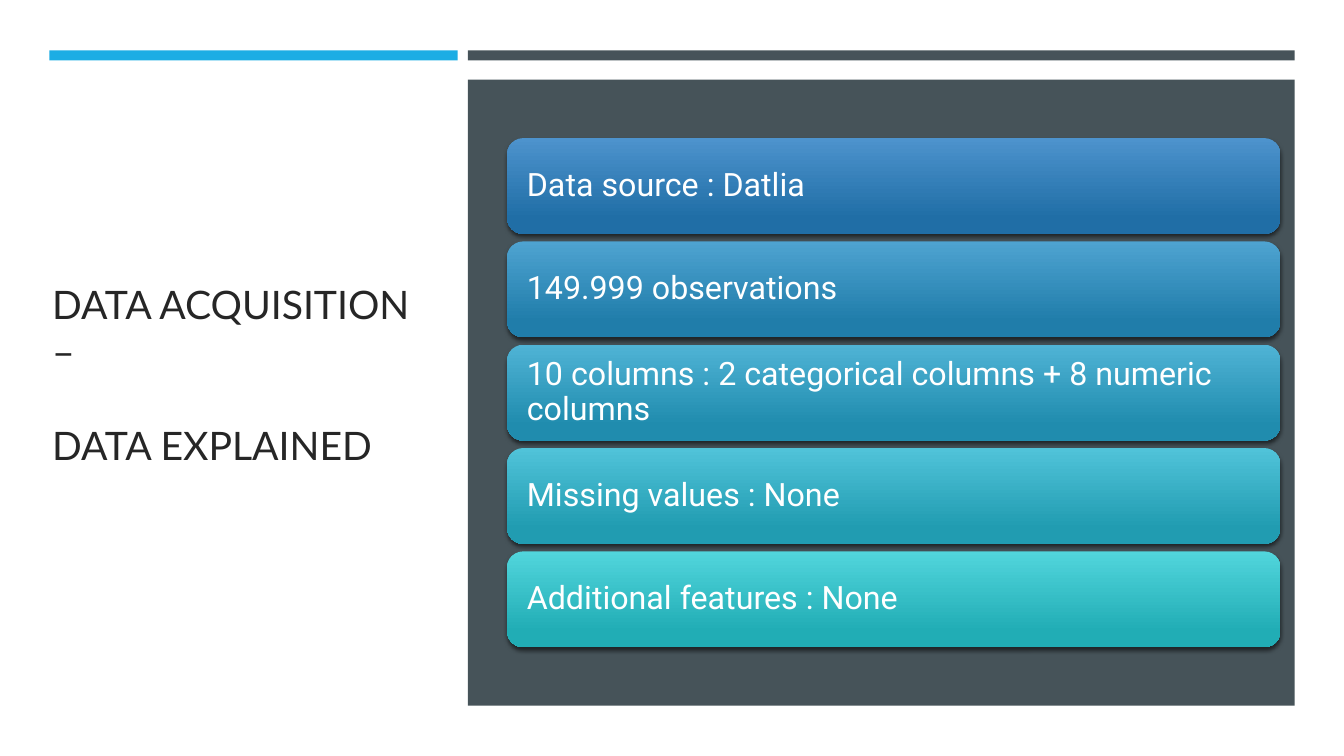
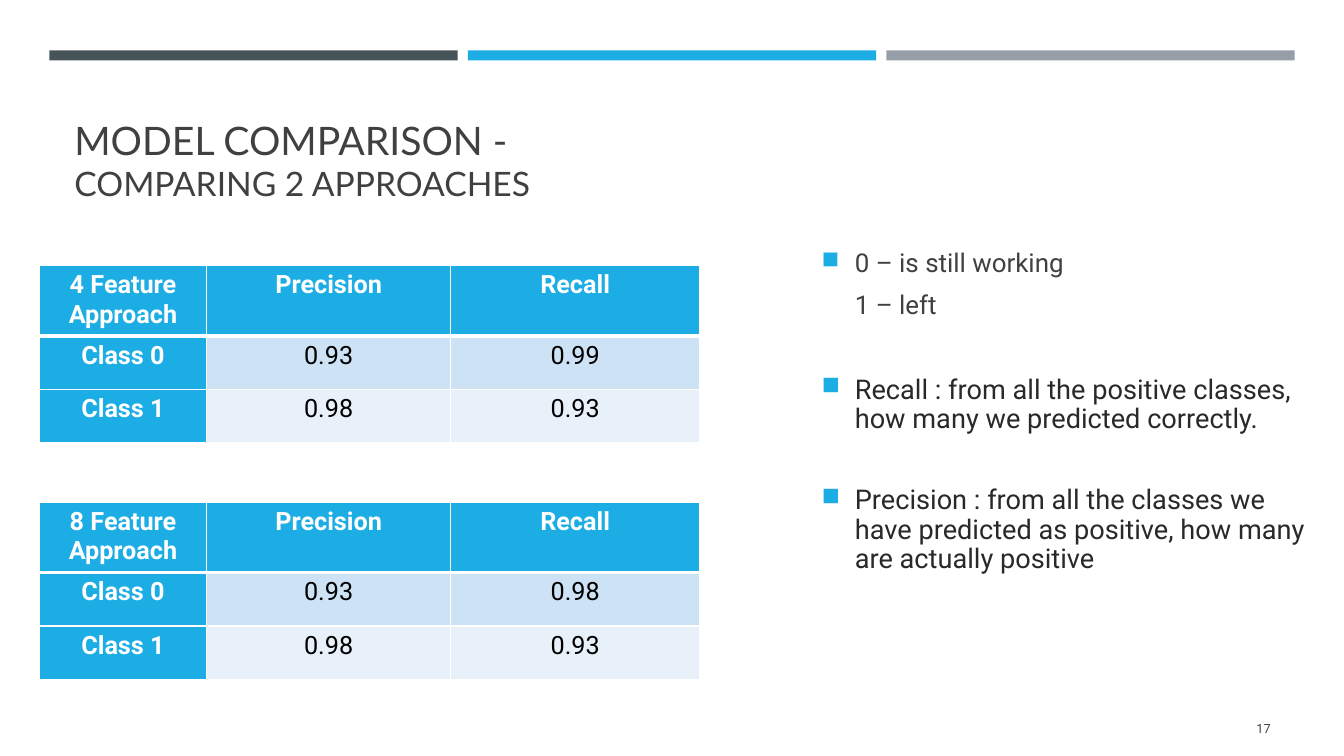
import dataclasses
import typing

import lxml.etree
import pptx
import pptx.dml.color
import pptx.enum.shapes
import pptx.enum.text
import pptx.oxml.ns
import pptx.slide
import pptx.util

Inches = pptx.util.Inches
Pt = pptx.util.Pt
qn = pptx.oxml.ns.qn
ALIGN = pptx.enum.text.PP_ALIGN
ANCHOR = pptx.enum.text.MSO_ANCHOR
SHAPES = pptx.enum.shapes.MSO_SHAPE

CYAN, SLATE, GREY, WHITE = "1CADE4", "465359", "969FA7", "FFFFFF"
INK, TITLE_INK, BODY_INK, BLACK = "404040", "262626", "292929", "000000"
TITLE_FONT, BODY_FONT = "Lato", "Roboto"

GRID_LEFT, GRID_COLUMN, GRID_GAP = 0.49, 4.05, 0.1
GRID_PITCH = GRID_COLUMN + GRID_GAP


@dataclasses.dataclass(frozen=True)
class Box:
    left: float
    top: float
    width: float
    height: float

    def emu(self) -> list[int]:
        return [Inches(v) for v in dataclasses.astuple(self)]


@dataclasses.dataclass(frozen=True)
class Line:
    """One paragraph with its look; spacing is in points."""
    text: str
    size: float
    color: str
    font: str = BODY_FONT
    bold: bool = False
    align: typing.Any = ALIGN.LEFT
    before: float = 0
    spacing: float = 1.0
    indent: float = 0
    bullet: bool = False


@dataclasses.dataclass(frozen=True)
class Band:
    color: str
    column: int
    span: int = 1


@dataclasses.dataclass(frozen=True)
class Card:
    text: str
    top_color: str
    bottom_color: str


@dataclasses.dataclass(frozen=True)
class Scores:
    approach: str
    top: float
    rows: tuple[tuple[str, str, str], ...]


CARDS = (
    Card("Data source : Datlia", "4D93CD", "206EA6"),
    Card("149.999 observations", "4EA3D1", "207DAA"),
    Card("10 columns : 2 categorical columns + 8 numeric columns", "4FB3D5", "208CAE"),
    Card("Missing values : None", "50C3D9", "219CB1"),
    Card("Additional features : None", "51D5DC", "21ADB5"),
)
SCORES = (
    Scores("4 Feature Approach", 2.63,
           (("Class 0", "0.93", "0.99"), ("Class 1", "0.98", "0.93"))),
    Scores("8 Feature Approach", 4.98,
           (("Class 0", "0.93", "0.98"), ("Class 1", "0.98", "0.93"))),
)
SCORE_COLUMNS = (1.66, 2.42, 2.47)
SCORE_ROWS = (0.69, 0.53, 0.53)
ROW_FILLS = (CYAN, "CDE3F5", "E8F1FA")

NOTE = {"spacing": 0.9, "indent": 0.33}
NOTES = (
    Line("0 – is still working", 18.5, INK, bullet=True, **NOTE),
    Line("1 – left", 18.5, INK, before=10, **NOTE),
    Line("Recall : from all the positive classes, how many we predicted correctly.",
         19.4, BODY_INK, before=40, bullet=True, **NOTE),
    Line("Precision : from all the classes we have predicted as positive, "
         "how many are actually positive",
         19.4, BODY_INK, before=37, bullet=True, **NOTE),
)


def rgb(color: str) -> pptx.dml.color.RGBColor:
    return pptx.dml.color.RGBColor.from_string(color)


def apply(target: typing.Any, values: dict[str, typing.Any]) -> None:
    for name, value in values.items():
        setattr(target, name, value)


def add_xml(parent: typing.Any, tag: str, **attributes: typing.Any) -> typing.Any:
    return lxml.etree.SubElement(
        parent, qn(tag), {key: str(value) for key, value in attributes.items()})


def write(frame: typing.Any, lines: typing.Sequence[Line], **frame_format: typing.Any) -> None:
    apply(frame, {"word_wrap": True, **frame_format})
    for index, line in enumerate(lines):
        paragraph = frame.paragraphs[0] if index == 0 else frame.add_paragraph()
        apply(paragraph, {"alignment": line.align, "line_spacing": line.spacing,
                          "space_before": Pt(line.before), "space_after": Pt(0)})
        run = paragraph.add_run()
        run.text = line.text
        apply(run.font, {"name": line.font, "size": Pt(line.size), "bold": line.bold})
        run.font.color.rgb = rgb(line.color)
        if line.indent:
            indent_paragraph(paragraph, line)


def indent_paragraph(paragraph: typing.Any, line: Line) -> None:
    properties = paragraph._p.get_or_add_pPr()
    properties.set("marL", str(Inches(line.indent)))
    properties.set("indent", str(-Inches(line.indent) if line.bullet else 0))
    if line.bullet:
        add_xml(add_xml(properties, "a:buClr"), "a:srgbClr", val=CYAN)
        add_xml(properties, "a:buSzPct", val=92000)
        add_xml(properties, "a:buChar", char="■")


def add_text(slide: pptx.slide.Slide, box: Box, lines: typing.Sequence[Line],
             **frame_format: typing.Any) -> None:
    write(slide.shapes.add_textbox(*box.emu()).text_frame, lines, **frame_format)


def add_title(slide: pptx.slide.Slide, box: Box, color: str, anchor: typing.Any,
              texts: tuple[str, str], second_size: float, gap: float = 0) -> None:
    first, second = texts
    add_text(slide, box, (
        Line(first, 28, color, TITLE_FONT),
        Line(second, second_size, color, TITLE_FONT, before=gap),
    ), vertical_anchor=anchor)


def add_panel(slide: pptx.slide.Slide, box: Box, color: str) -> None:
    panel = slide.shapes.add_shape(SHAPES.RECTANGLE, *box.emu())
    panel.shadow.inherit = False
    panel.fill.solid()
    panel.fill.fore_color.rgb = rgb(color)
    panel.line.fill.background()


def add_bands(slide: pptx.slide.Slide, bands: typing.Sequence[Band]) -> None:
    for band in bands:
        add_panel(slide, Box(GRID_LEFT + GRID_PITCH * band.column, 0.5,
                             GRID_PITCH * band.span - GRID_GAP, 0.1), band.color)


def add_card(slide: pptx.slide.Slide, box: Box, card: Card) -> None:
    shape = slide.shapes.add_shape(SHAPES.ROUNDED_RECTANGLE, *box.emu())
    shape.line.fill.background()
    shape.fill.gradient()
    shape.fill.gradient_angle = 270
    stops = zip(shape.fill.gradient_stops, (0, 0.84), (card.top_color, card.bottom_color))
    for stop, position, color in stops:
        stop.position = position
        stop.color.rgb = rgb(color)
    effects = add_xml(shape._element.spPr, "a:effectLst")
    shadow = add_xml(effects, "a:outerShdw", blurRad=Pt(3), dist=Pt(2),
                     dir=90 * 60000, algn="ctr", rotWithShape=0)
    add_xml(add_xml(shadow, "a:srgbClr", val=BLACK), "a:alpha", val=55000)
    write(shape.text_frame, [Line(card.text, 23, WHITE, spacing=0.9)],
          vertical_anchor=ANCHOR.MIDDLE,
          margin_left=Inches(0.15), margin_right=Inches(0.15))


def set_borders(cell: typing.Any, top: float, bottom: float) -> None:
    properties = cell._tc.get_or_add_tcPr()
    for side, width in {"L": 1, "R": 1, "T": top, "B": bottom}.items():
        border = add_xml(properties, f"a:ln{side}", w=Pt(width))
        add_xml(add_xml(border, "a:solidFill"), "a:srgbClr", val=WHITE)


def add_scores(slide: pptx.slide.Slide, scores: Scores) -> None:
    box = Box(0.39, scores.top, sum(SCORE_COLUMNS), sum(SCORE_ROWS))
    rows = ((scores.approach, "Precision", "Recall"), *scores.rows)
    table = slide.shapes.add_table(len(rows), len(SCORE_COLUMNS), *box.emu()).table
    for column, width in zip(table.columns, SCORE_COLUMNS):
        column.width = Inches(width)
    for row, height in zip(table.rows, SCORE_ROWS):
        row.height = Inches(height)
    for r, texts in enumerate(rows):
        for c, text in enumerate(texts):
            cell = table.cell(r, c)
            heading = r == 0 or c == 0
            set_borders(cell, top=3 if r == 1 else 1, bottom=3 if r == 0 else 1)
            cell.fill.solid()
            cell.fill.fore_color.rgb = rgb(CYAN if heading else ROW_FILLS[r])
            write(cell.text_frame, [Line(text, 18, WHITE if heading else BLACK,
                                         bold=heading, align=ALIGN.CENTER)])


def build_data_slide(slide: pptx.slide.Slide) -> None:
    add_title(slide, Box(0.42, 1.14, 3.74, 5.15), TITLE_INK, ANCHOR.MIDDLE,
              ("DATA ACQUISITION –", "DATA EXPLAINED"), 28, gap=33.6)
    add_bands(slide, (Band(CYAN, 0), Band(SLATE, 1, span=2)))
    add_panel(slide, Box(4.64, 0.79, 8.2, 6.21), SLATE)
    card_pitch = 1.025
    for index, card in enumerate(CARDS):
        add_card(slide, Box(5.03, 1.37 + card_pitch * index, 7.67, 0.95), card)


def build_comparison_slide(slide: pptx.slide.Slide) -> None:
    add_bands(slide, (Band(SLATE, 0), Band(CYAN, 1), Band(GREY, 2)))
    add_title(slide, Box(0.64, 0.77, 12.06, 1.3), INK, ANCHOR.BOTTOM,
              ("MODEL COMPARISON -", "COMPARING 2 APPROACHES"), 24)
    for scores in SCORES:
        add_scores(slide, scores)
    add_text(slide, Box(8.05, 2.31, 5.08, 4.6), NOTES, margin_top=Inches(0.17))
    add_text(slide, Box(11.55, 7.03, 1.15, 0.4),
             [Line("17", 9, INK, align=ALIGN.RIGHT)], vertical_anchor=ANCHOR.MIDDLE)


def main() -> None:
    deck = pptx.Presentation()
    apply(deck, {"slide_width": Inches(13.33), "slide_height": Inches(7.5)})
    blank = deck.slide_layouts[6]
    for build in (build_data_slide, build_comparison_slide):
        build(deck.slides.add_slide(blank))
    deck.save("out.pptx")


if __name__ == "__main__":
    main()
